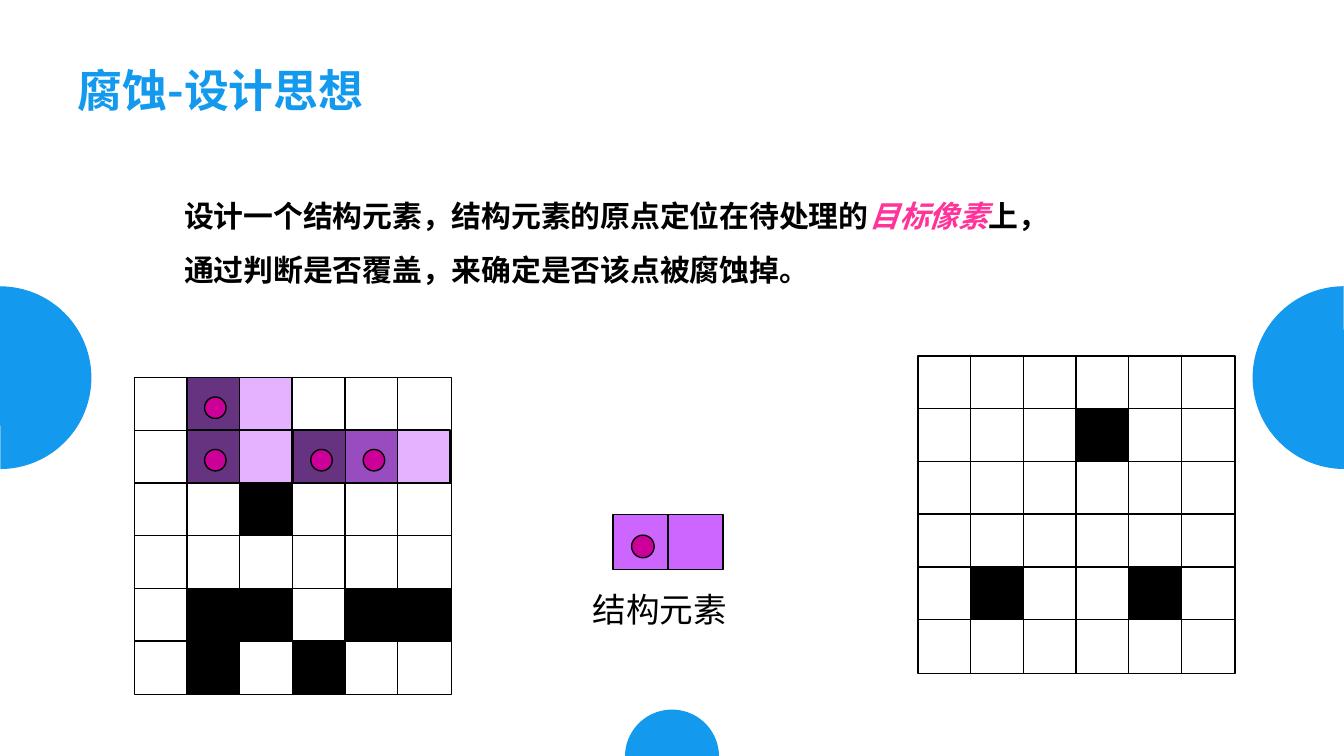
from lxml.etree import SubElement
from pptx import Presentation
from pptx.dml.color import RGBColor
from pptx.enum.shapes import MSO_SHAPE
from pptx.enum.text import MSO_ANCHOR, PP_ALIGN
from pptx.oxml.ns import qn
from pptx.util import Inches, Pt

BLUE, BLACK, WHITE = "1399EE", "000000", "FFFFFF"
PINK, PURPLE, MAGENTA = "FF3399", "CC66FF", "CC0099"
SANS, SERIF = "Noto Sans CJK SC", "Times New Roman"

SOURCE_PIXELS = [
    ".#....",
    ".#.##.",
    "..#...",
    "......",
    ".##.##",
    ".#.#..",
]
ERODED_PIXELS = [
    "......",
    "...#..",
    "......",
    "......",
    ".#..#.",
    "......",
]


def color(value):
    return RGBColor.from_string(value)


class SlideBuilder:
    cell = 0.4
    grid_span = 1.96
    line_width = Pt(0.75)

    def __init__(self, slide):
        self.slide = slide

    def figure(self, shapes, kind, left, top, size, fill, line=BLACK, opacity=None):
        shape = shapes.add_shape(
            kind, Inches(left), Inches(top), Inches(size), Inches(size)
        )
        shape.shadow.inherit = False
        shape.fill.solid()
        shape.fill.fore_color.rgb = color(fill)
        if opacity:
            solid_color = shape.element.spPr.find(qn("a:solidFill"))[0]
            SubElement(solid_color, qn("a:alpha"), val=str(opacity * 1000))
        if line:
            shape.line.color.rgb = color(line)
            shape.line.width = self.line_width
        else:
            shape.line.fill.background()
        return shape

    def half_circle(self, left, top, size, rotation):
        shape = self.figure(
            self.slide.shapes, MSO_SHAPE.PIE, left, top, size, BLUE, None
        )
        shape.adjustments[0] = 0
        shape.adjustments[1] = 107.82
        shape.rotation = rotation

    def pixel_grid(self, left, top, pixels):
        group = self.slide.shapes.add_group_shape()
        step = self.grid_span / (len(pixels) - 1)
        for row, line in enumerate(pixels):
            for column, pixel in enumerate(line):
                self.figure(
                    group.shapes, MSO_SHAPE.RECTANGLE,
                    left + column * step, top + row * step, self.cell,
                    BLACK if pixel == "#" else WHITE,
                )

    def structuring_element(self, left, top, cell, opacity=None):
        shapes = self.slide.shapes.add_group_shape().shapes
        for column in range(2):
            self.figure(
                shapes, MSO_SHAPE.RECTANGLE, left + column * cell, top, cell,
                PURPLE, opacity=opacity,
            )
        self.figure(
            shapes, MSO_SHAPE.OVAL, left + 0.34 * cell, top + 0.37 * cell,
            0.41 * cell, MAGENTA,
        )

    def text(self, shape, box, runs, font, size, bold=False, spacing=1.0,
             anchor=MSO_ANCHOR.TOP):
        for name, value in zip(("left", "top", "width", "height"), box):
            setattr(shape, name, Inches(value))
        frame = shape.text_frame
        frame.word_wrap = True
        frame.vertical_anchor = anchor
        paragraph = frame.paragraphs[0]
        properties = paragraph._p.get_or_add_pPr()
        properties.set("marL", "0")
        properties.set("indent", "0")
        SubElement(properties, qn("a:buNone"))
        layout = {
            "alignment": PP_ALIGN.LEFT,
            "line_spacing": spacing,
            "space_before": Pt(0),
        }
        for name, value in layout.items():
            setattr(paragraph, name, value)
        for content, run_color, italic in runs:
            run = paragraph.add_run()
            run.text = content
            style = {"name": font, "size": Pt(size), "bold": bold, "italic": italic}
            for name, value in style.items():
                setattr(run.font, name, value)
            run.font.color.rgb = color(run_color)
            SubElement(run._r.get_or_add_rPr(), qn("a:ea"), typeface=SANS)

    def label(self, box, *args, **options):
        shape = self.slide.shapes.add_textbox(*map(Inches, box))
        self.text(shape, box, *args, **options)


def main():
    presentation = Presentation()
    presentation.slide_width = Inches(10)
    presentation.slide_height = presentation.slide_width * 9 // 16
    slide = presentation.slides.add_slide(presentation.slide_layouts[1])
    builder = SlideBuilder(slide)

    builder.half_circle(4.65, 5.28, 0.7, 180)
    builder.half_circle(-0.68, 2.13, 1.36, 270)
    builder.half_circle(9.32, 2.13, 1.36, 90)

    builder.text(
        slide.shapes.title, (0.48, 0.42, 4.86, 0.5),
        [("腐蚀-设计思想", BLUE, False)], SANS, 24, bold=True,
        anchor=MSO_ANCHOR.MIDDLE,
    )
    builder.text(
        slide.placeholders[1], (1.27, 1.29, 6.63, 0.91),
        [
            ("设计一个结构元素，结构元素的原点定位在待处理的", BLACK, False),
            ("目标像素", PINK, True),
            ("上，通过判断是否覆盖，来确定是否该点被腐蚀掉。", BLACK, False),
        ],
        SANS, 16, bold=True, spacing=1.5,
    )

    builder.pixel_grid(1, 2.81, SOURCE_PIXELS)
    builder.pixel_grid(6.83, 2.65, ERODED_PIXELS)

    builder.structuring_element(4.56, 3.83, 0.41)
    builder.label(
        (4.31, 4.33, 1.42, 0.4), [("结构元素", BLACK, False)], SERIF, 18,
        anchor=MSO_ANCHOR.MIDDLE,
    )
    for left, top in [(1.39, 2.81), (1.39, 3.2), (2.18, 3.2), (2.57, 3.2)]:
        builder.structuring_element(left, top, 0.39, opacity=50)

    presentation.save("out.pptx")


if __name__ == "__main__":
    main()
